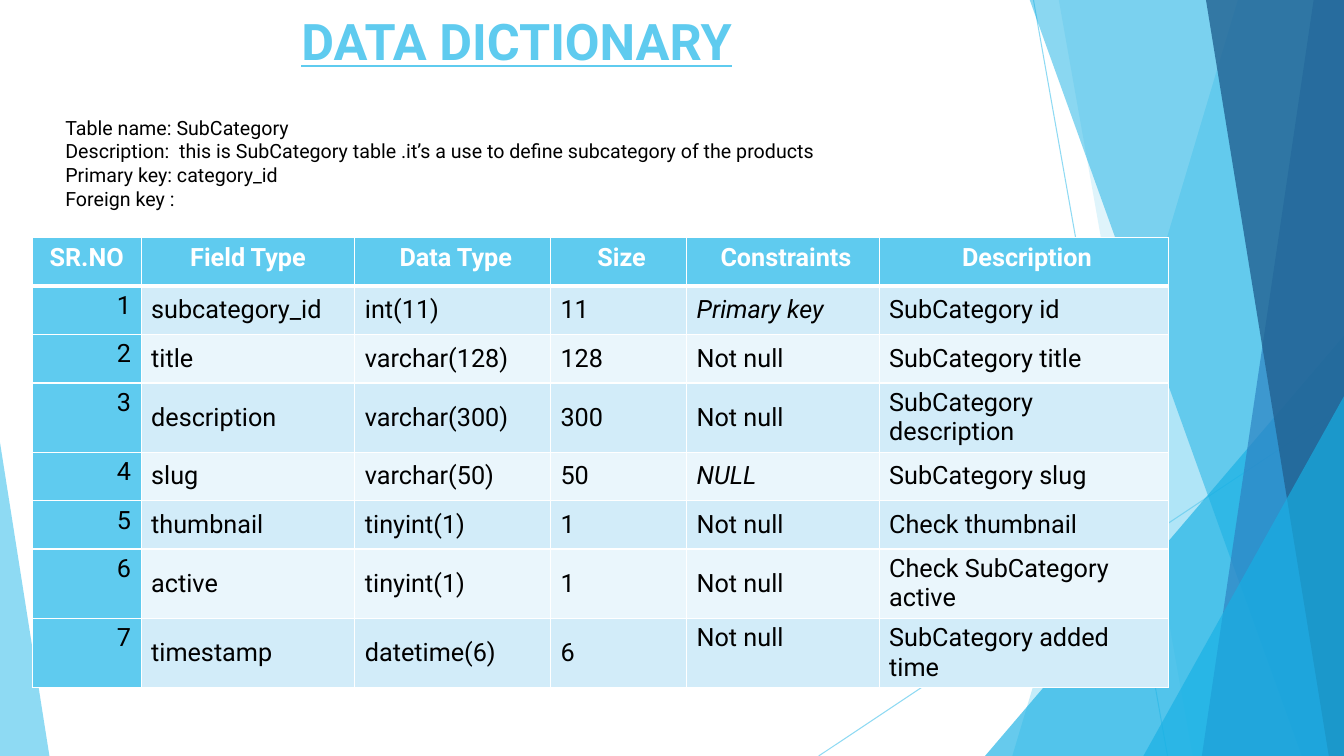
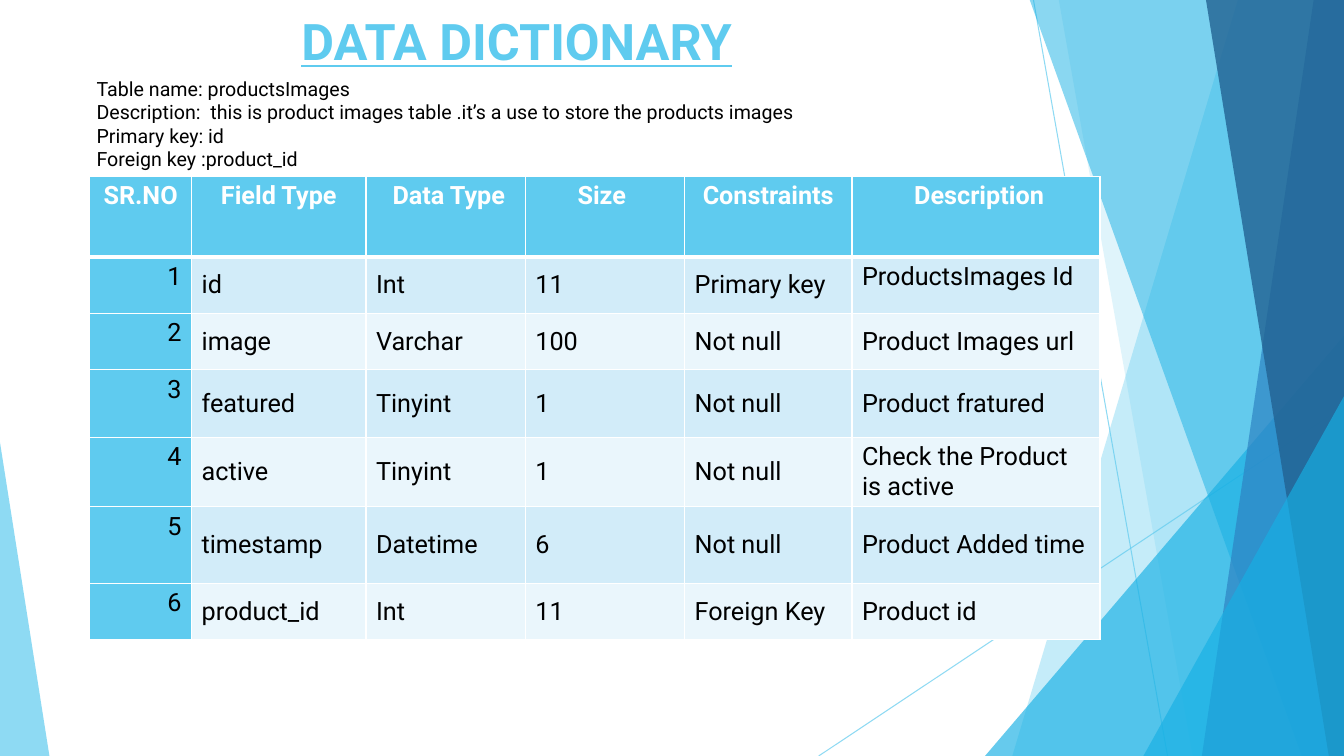
"""Build two data dictionary slides over a shared faceted backdrop."""
from pptx import Presentation
from pptx.dml.color import RGBColor
from pptx.enum import shapes, text
from pptx.oxml import parse_xml
from pptx.oxml.ns import nsdecls, qn
from pptx.util import Inches, Pt

SKY = RGBColor(0x5F, 0xCB, 0xEF)
CYAN = RGBColor(0x17, 0xB0, 0xE4)
BLUE = RGBColor(0x2E, 0x83, 0xC3)
NAVY = RGBColor(0x22, 0x62, 0x92)
PALE = RGBColor(0xD2, 0xEC, 0xF9)
MIST = RGBColor(0xEA, 0xF6, 0xFC)
WHITE = RGBColor(0xFF, 0xFF, 0xFF)
BLACK = RGBColor(0, 0, 0)
FONT = "Roboto"
WIDE, HIGH, TOP = 13.33, 7.5, -0.01


def fade(fill, color, alpha):
    fill.solid()
    fill.fore_color.rgb = color
    tint = fill._xPr.find(qn("a:solidFill"))[0]
    tint.append(parse_xml(f'<a:alpha {nsdecls("a")} val="{alpha * 1000}"/>'))


def write(para, words, size, color, bold=False):
    run = para.add_run()
    run.text = words
    font = run.font
    font.name, font.size, font.bold = FONT, Pt(size), bold
    font.color.rgb = color
    return font


deck = Presentation()
deck.slide_width, deck.slide_height = Inches(WIDE), Inches(HIGH)
base = deck.slide_layouts[5]
head = base.placeholders[0]
head.left, head.top = Inches(2.89), Inches(0.1)
head.width, head.height = Inches(5.3), Inches(0.61)

rays = [(10.25, 0, 11.58, HIGH), (WIDE, 4.03, 8.12, HIGH)]
panes = [
    (SKY, 36, (12.28, 10.04)),
    (SKY, 20, (10.5, 11.83)),
    (CYAN, 66, (9.77, 3.33, 3.56, 1)),
    (CYAN, 50, (10.21, 12.91)),
    (BLUE, 70, (13.03, 11.92)),
    (NAVY, 80, (11.96, 13.18)),
    (CYAN, 66, (11.34, 3.93, 1.99, 1)),
    (SKY, 70, (0, 4.39, 0.49, 0)),
]

pages = [
    {
        "note": (0.55, 1.1),
        "lines": [
            "Table name: SubCategory",
            "Description:  this is SubCategory table .it’s a use to define subcategory of the products",
            "Primary key: category_id",
            "Foreign key :",
        ],
        "grid": (0.32, 2.36),
        "cols": [1.08, 2.12, 1.94, 1.35, 1.91, 2.87],
        "rows": [0.48] * 8,
        "high": {(7, 4), (7, 5)},
        "slant": {(1, 4), (4, 4)},
        "cells": [
            ["SR.NO", "Field Type", " Data Type", " Size", " Constraints", " Description"],
            ["1", "subcategory_id", "int(11)", "11", "Primary key", "SubCategory id"],
            ["2", "title", "varchar(128)", "128", "Not null", "SubCategory title"],
            ["3", "description", "varchar(300)", "300", "Not null", "SubCategory description"],
            ["4", "slug", "varchar(50)", "50", "NULL", "SubCategory slug"],
            ["5", "thumbnail", "tinyint(1)", "1", "Not null", "Check thumbnail"],
            ["6", "active", "tinyint(1)", "1", "Not null", "Check SubCategory active"],
            ["7", "timestamp", "datetime(6)", "6", "Not null", "SubCategory added time"],
        ],
    },
    {
        "note": (0.86, 0.71),
        "lines": [
            "Table name: productsImages",
            "Description:  this is product images table .it’s a use to store the products images",
            "Primary key: id",
            "Foreign key :product_id",
        ],
        "grid": (0.89, 1.75),
        "cols": [1.01, 1.73, 1.58, 1.58, 1.66, 2.46],
        "rows": [0.8, 0.56, 0.56, 0.67, 0.56, 0.76, 0.56],
        "high": {(1, 5)},
        "slant": set(),
        "cells": [
            ["SR.NO", "Field Type", " Data Type", "Size ", "Constraints", " Description"],
            ["1", "id", "Int", "11", "Primary key", "ProductsImages Id"],
            ["2", "image", "Varchar", "100", "Not null", "Product Images url"],
            ["3", "featured", "Tinyint", "1", "Not null", "Product fratured"],
            ["4", "active", "Tinyint", "1", "Not null", "Check the Product is active"],
            ["5", "timestamp", "Datetime", "6", "Not null", "Product Added time"],
            ["6", "product_id", "Int", "11", "Foreign Key", "Product id"],
        ],
    },
]

slides = [deck.slides.add_slide(base) for page in pages]

draft = slides[0].shapes
decor = []
for ray in rays:
    line = draft.add_connector(shapes.MSO_CONNECTOR.STRAIGHT, *map(Inches, ray))
    line.line.width = Pt(0.75)
    fade(line.line.fill, SKY, 70)
    line._element.spPr.append(parse_xml(f'<a:effectLst {nsdecls("a")}/>'))
    decor.append(line)
for color, alpha, form in panes:
    if len(form) == 2:
        upper, lower = form
        pen = draft.build_freeform(Inches(upper), Inches(TOP))
        spots = [(WIDE, TOP), (WIDE, HIGH), (lower, HIGH)]
        pen.add_line_segments([(Inches(x), Inches(y)) for x, y in spots])
        pane = pen.convert_to_shape()
    else:
        left, top, width, peak = form
        pane = draft.add_shape(
            shapes.MSO_SHAPE.ISOSCELES_TRIANGLE,
            Inches(left), Inches(top), Inches(width), Inches(HIGH - top))
        pane.adjustments[0] = peak
    pane.shadow.inherit = False
    pane.line.fill.background()
    fade(pane.fill, color, alpha)
    decor.append(pane)
for spot, part in enumerate(decor):
    part._element.xpath(".//p:cNvPr")[0].set("id", str(20 + spot))
    base.shapes._spTree.insert(2 + spot, part._element)

for slide, page in zip(slides, pages):
    frame = slide.shapes.title.text_frame
    frame.auto_size = text.MSO_AUTO_SIZE.NONE
    frame.vertical_anchor = text.MSO_ANCHOR.MIDDLE
    para = frame.paragraphs[0]
    para.alignment = text.PP_ALIGN.LEFT
    write(para, "DATA DICTIONARY", 36, SKY, True).underline = True

    cols, rows = page["cols"], page["rows"]
    left, top = page["grid"]
    grid = slide.shapes.add_table(
        len(rows), len(cols), Inches(left), Inches(top),
        Inches(sum(cols)), Inches(sum(rows))).table
    grid.horz_banding = False
    for col, width in zip(grid.columns, cols):
        col.width = Inches(width)
    for row, height in zip(grid.rows, rows):
        row.height = Inches(height)
    for r, line in enumerate(page["cells"]):
        for c, words in enumerate(line):
            cell = grid.cell(r, c)
            edges = {"L": 1, "R": 1, "T": 3 if r == 1 else 1, "B": 3 if r == 0 else 1}
            for side, size in edges.items():
                cell._tc.get_or_add_tcPr().append(parse_xml(
                    f'<a:ln{side} {nsdecls("a")} w="{Pt(size)}"><a:solidFill>'
                    f'<a:srgbClr val="{WHITE}"/></a:solidFill></a:ln{side}>'))
            cell.fill.solid()
            cell.fill.fore_color.rgb = SKY if r == 0 or c == 0 else PALE if r % 2 else MIST
            para = cell.text_frame.paragraphs[0]
            if r == 0:
                para.alignment = text.PP_ALIGN.CENTER
            elif c == 0:
                para.alignment = text.PP_ALIGN.RIGHT
            elif (r, c) not in page["high"]:
                cell.vertical_anchor = text.MSO_ANCHOR.MIDDLE
            font = write(para, words, 18, BLACK if r else WHITE, r == 0)
            font.italic = (r, c) in page["slant"]

    left, top = page["note"]
    frame = slide.shapes.add_textbox(
        Inches(left), Inches(top), Inches(9.36), Inches(1.04)).text_frame
    frame.word_wrap = True
    frame.auto_size = text.MSO_AUTO_SIZE.SHAPE_TO_FIT_TEXT
    for n, words in enumerate(page["lines"]):
        para = frame.add_paragraph() if n else frame.paragraphs[0]
        write(para, words, 14, BLACK)

deck.save("out.pptx")
